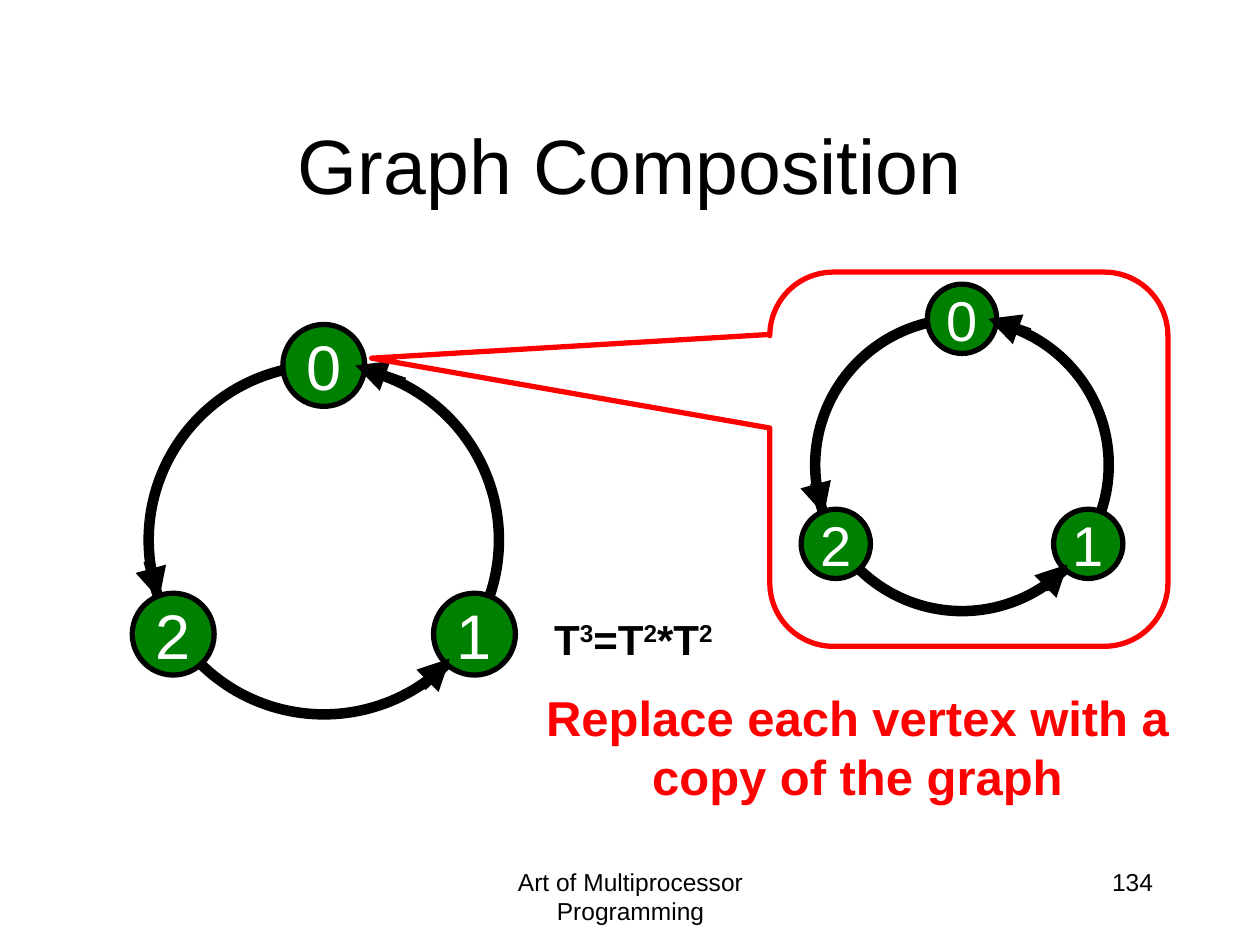
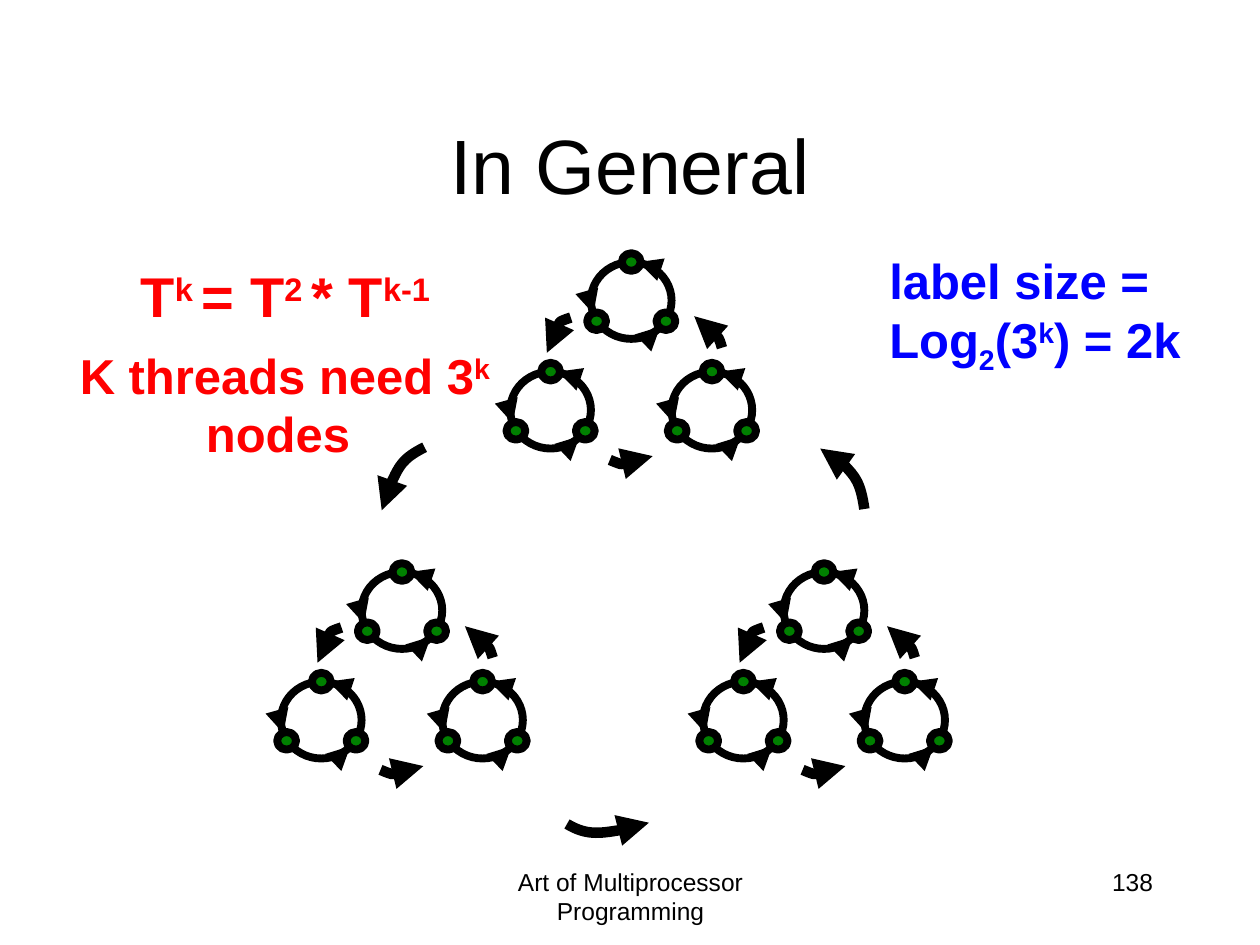
from pptx import Presentation
from pptx.dml.color import RGBColor
from pptx.enum.shapes import MSO_CONNECTOR as LINK, MSO_SHAPE as SHAPE
from pptx.enum.text import MSO_ANCHOR as ANCHOR, MSO_AUTO_SIZE as FIT, PP_ALIGN as ALIGN
from pptx.oxml.ns import qn
from pptx.util import Inches, Pt
from lxml.etree import SubElement

# Shared style
FONT = "Arial"
BLACK, WHITE, GREEN, RED, BLUE = "000000", "FFFFFF", "008000", "FF0000", "0000FF"
SUP, SUB = 30, -25
FOOTER = "Art of Multiprocessor Programming"

# Ring parts as shares of the ring's box
RING_NODES = [(0.5, 0), (0.93, 0.77), (0.07, 0.77)]
RING_ARROWS = [((0, 0.56), (0.03, 0.67)),
               ((0.78, 0.92), (0.86, 0.84)),
               ((0.73, 0.05), (0.59, 0))]

# Cluster of three rings, in grid units from the corner of its top ring
RING_W, RING_H = 6.4, 6.1
CLUSTER_RINGS = [(-6.4, 8.7), (6.4, 8.7), (0, 0)]
CLUSTER_ARCS = [[(-1.6, 4.4), (-2.8, 4.8), (-3.2, 5.8), (-3.5, 7.2)],
                [(10.4, 6.8), (10.1, 5.8), (9.4, 4.9), (8.2, 4.3)],
                [(1.5, 15.7), (2.7, 16.2), (3.7, 16.1), (4.9, 15.4)]]


def rgb(color):
    return RGBColor.from_string(color)


class Deck:
    """Draws on a grid of 100 columns by 75 rows."""
    COLS, ROWS = 100, 75

    def __init__(self):
        self.prs = Presentation()
        self.prs.slide_width, self.prs.slide_height = Inches(10), Inches(7.5)
        self.s = None

    def x(self, cols):
        return round(self.prs.slide_width * cols / self.COLS)

    def y(self, rows):
        return round(self.prs.slide_height * rows / self.ROWS)

    def box(self, left, top, width, height):
        return self.x(left), self.y(top), self.x(width), self.y(height)

    def slide(self, title, number):
        self.s = self.prs.slides.add_slide(self.prs.slide_layouts[6])
        self.text((34.2, 68.3, 31.7, 5), [[FOOTER]], 14, align=ALIGN.CENTER)
        self.text((71.7, 68.3, 20.8, 5), [[number]], 14, align=ALIGN.RIGHT)
        self.text((7.5, 6.7, 85, 12.5), [[title]], 44, align=ALIGN.CENTER,
                  anchor=ANCHOR.MIDDLE)

    def add_runs(self, tf, paras, size, color, bold, align):
        """Each paragraph is a list of plain strings or (string, baseline) pairs."""
        for i, parts in enumerate(paras):
            p = tf.paragraphs[0] if i == 0 else tf.add_paragraph()
            p.alignment = align
            for part in parts:
                text, base = (part, 0) if isinstance(part, str) else part
                r = p.add_run()
                r.text = text
                r.font.name, r.font.size, r.font.bold = FONT, Pt(size), bold
                r.font.color.rgb = rgb(color)
                if base:
                    r._r.get_or_add_rPr().set("baseline", str(base * 1000))

    def text(self, at, paras, size, color=BLACK, bold=False, align=ALIGN.LEFT,
             anchor=ANCHOR.TOP, wrap=True, grow=False):
        tf = self.s.shapes.add_textbox(*self.box(*at)).text_frame
        tf.word_wrap, tf.vertical_anchor = wrap, anchor
        tf.auto_size = FIT.SHAPE_TO_FIT_TEXT if grow else FIT.NONE
        self.add_runs(tf, paras, size, color, bold, align)

    def paint(self, sp, fill, line, width):
        sp.shadow.inherit = False
        if fill:
            sp.fill.solid()
            sp.fill.fore_color.rgb = rgb(fill)
        else:
            sp.fill.background()
        self.stroke(sp, line, width)

    def stroke(self, sp, color, width, arrow=False):
        sp.line.color.rgb = rgb(color)
        sp.line.width = Pt(width)
        if arrow:
            ln = sp._element.spPr.find(qn("a:ln"))
            SubElement(ln, qn("a:tailEnd"), type="triangle")

    def shape(self, kind, at, fill=None, line=BLACK, width=3):
        sp = self.s.shapes.add_shape(kind, *self.box(*at))
        self.paint(sp, fill, line, width)
        return sp

    def arrow(self, start, end, width):
        sp = self.s.shapes.add_connector(LINK.STRAIGHT, self.x(start[0]), self.y(start[1]),
                                         self.x(end[0]), self.y(end[1]))
        self.stroke(sp, BLACK, width, arrow=True)
        SubElement(sp._element.spPr, qn("a:effectLst"))

    def arc(self, points):
        """Arrow along one cubic curve: start, two control points, end."""
        start, *rest = [(self.x(px), self.y(py)) for px, py in points]
        fb = self.s.shapes.build_freeform(*start)
        fb.add_line_segments(rest, close=False)
        sp = fb.convert_to_shape()
        # Turn the three straight segments into one curve
        outline = next(sp._element.iter(qn("a:path")))
        segments = outline.findall(qn("a:lnTo"))
        curve = SubElement(outline, qn("a:cubicBezTo"))
        for seg in segments:
            curve.append(seg[0])
            outline.remove(seg)
        self.paint(sp, None, BLACK, 6)
        self.stroke(sp, BLACK, 6, arrow=True)

    def ring(self, at, node, width, fill=None, node_line=3, label_size=None):
        left, top, w, h = at
        node_w, node_h = node

        def spot(share):
            return left + w * share[0], top + h * share[1]

        self.shape(SHAPE.OVAL, at, fill, width=width)
        for i, share in enumerate(RING_NODES):
            cx, cy = spot(share)
            sp = self.shape(SHAPE.OVAL, (cx - node_w / 2, cy - node_h / 2, node_w, node_h),
                            GREEN, width=node_line)
            if label_size:
                tf = sp.text_frame
                tf.word_wrap, tf.vertical_anchor = False, ANCHOR.MIDDLE
                self.add_runs(tf, [[str(i)]], label_size, WHITE, False, ALIGN.CENTER)
        for start, end in RING_ARROWS:
            self.arrow(spot(start), spot(end), width)

    def cluster(self, left, top):
        for dx, dy in CLUSTER_RINGS:
            self.ring((left + dx, top + dy, RING_W, RING_H), (1.5, 1.4), 4.5,
                      fill=WHITE, node_line=4.5)
        for points in CLUSTER_ARCS:
            self.arc([(left + dx, top + dy) for dx, dy in points])


def graph_composition(d):
    d.slide("Graph Composition", "134")
    # Outer graph and the copy that replaces a vertex
    d.ring((11.8, 29, 27.8, 27.7), (6.5, 6.5), 6, label_size=36)
    d.ring((64.7, 25.3, 23.3, 23.2), (5.5, 5.5), 6, label_size=32)
    callout = d.shape(SHAPE.ROUNDED_RECTANGULAR_CALLOUT, (61.1, 21.6, 31.6, 29.7), line=RED)
    for i, value in enumerate((-1.5, -0.27, 0.17)):
        callout.adjustments[i] = value
    # Captions
    d.text((39.6, 54.1, 56.9, 10.3), [["Replace each vertex with a copy of the graph"]],
           28, RED, True, ALIGN.CENTER, grow=True)
    d.text((43, 48.2, 15.3, 5.1), [["T", ("3", SUP), "=T", ("2", SUP), "*T", ("2", SUP)]],
           24, bold=True, wrap=False, grow=True)


def in_general(d):
    d.slide("In General", "138")
    d.text((7.8, 20.3, 27.3, 6.4),
           [["T", ("k ", SUP), "= T", ("2 ", SUP), "* T", ("k-1", SUP)]],
           32, RED, True, ALIGN.RIGHT, wrap=False, grow=True)
    # Three clusters joined by long arcs
    for corner in ((62.2, 45.4), (28.7, 45.4), (46.9, 20.8)):
        d.cluster(*corner)
    for points in ([(33.7, 35.5), (31.9, 36.4), (30.9, 38.1), (30.3, 40.5)],
                   [(68.6, 40.4), (68.3, 38.3), (67.2, 36.5), (65.1, 35.6)],
                   [(45, 65.4), (46.5, 66.3), (48.8, 66.2), (51.5, 65.3)]):
        d.arc(points)
    # Captions
    d.text((3.7, 26.9, 37.8, 10.3), [["K threads need 3", ("k ", SUP), "nodes "]],
           28, RED, True, ALIGN.CENTER, grow=True)
    d.text((69.6, 19.4, 25.6, 10.4),
           [["label size ="], ["Log", ("2", SUB), "(3", ("k", SUP), ") = 2k"]],
           28, BLUE, True, grow=True)


def main():
    d = Deck()
    graph_composition(d)
    in_general(d)
    d.prs.save("out.pptx")


if __name__ == "__main__":
    main()
